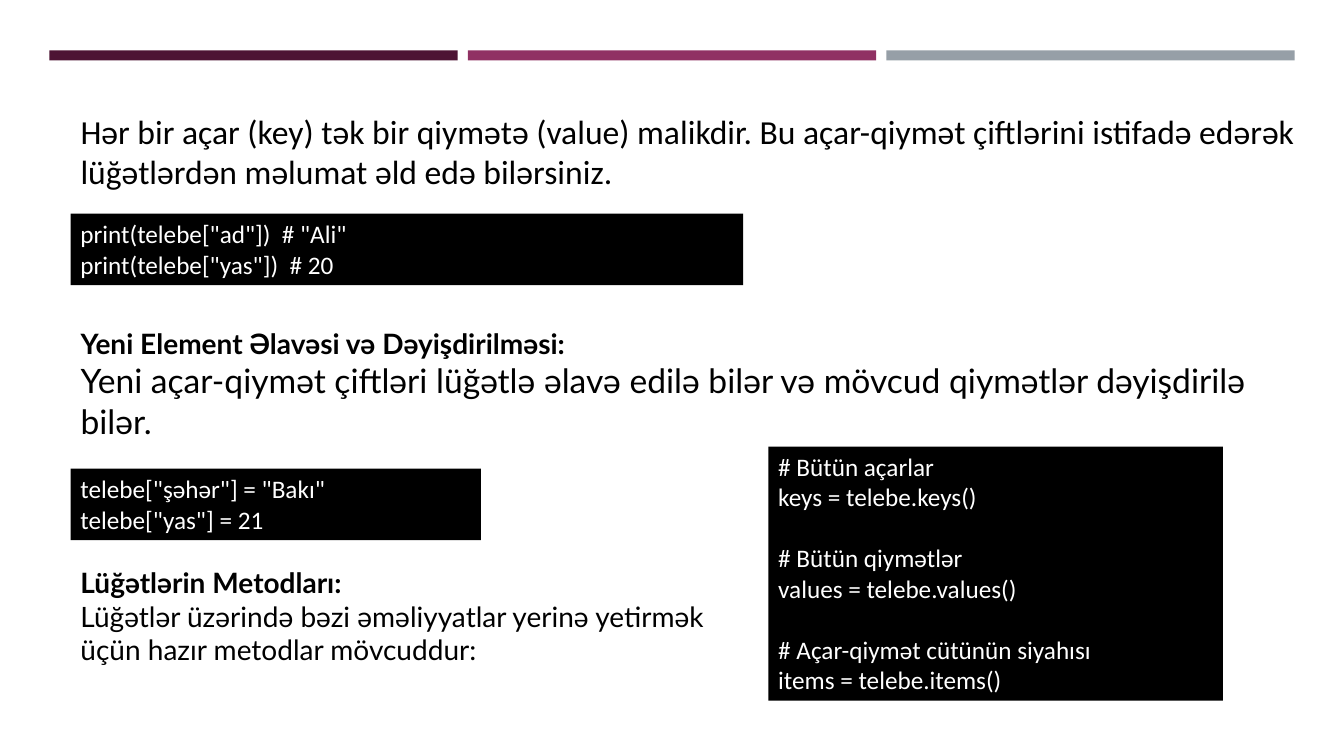
from dataclasses import dataclass

from pptx import Presentation
from pptx import util as u
from pptx.dml.color import RGBColor
from pptx.enum import shapes, text


@dataclass(frozen=True)
class Theme:
    black: str = "000000"
    white: str = "FFFFFF"
    bars: tuple[str, ...] = ("4D1434", "903163", "969FA7")
    code_font: str = "Calibri"
    body_font: str = "Lato"
    code_pt: int = 18
    heading_pt: int = 20
    body_pt: int = 24
    code_gap_pt: int = 22


@dataclass(frozen=True)
class Line:
    text: str
    size: int
    font: str
    bold: bool = False
    before: int = 0


@dataclass(frozen=True)
class Block:
    left: float
    top: float
    width: float
    height: float
    lines: list[Line]
    is_code: bool = False


THEME = Theme()
LEFT = 0.7


def code(*groups: str) -> list[Line]:
    """Turn groups of code lines into lines, with a gap before each later group."""
    return [
        Line(row, THEME.code_pt, THEME.code_font,
             before=THEME.code_gap_pt if g and not i else 0)
        for g, group in enumerate(groups)
        for i, row in enumerate(group.splitlines())
    ]


def section(heading: str, body: str, body_pt: int) -> list[Line]:
    return [Line(heading, THEME.heading_pt, THEME.body_font, bold=True),
            Line(body, body_pt, THEME.body_font)]


BLOCKS = [
    Block(LEFT, 1.05, 12.42, 0.91, [Line(
        "Hər bir açar (key) tək bir qiymətə (value) malikdir. Bu açar-qiymət "
        "çiftlərini istifadə edərək lüğətlərdən məlumat əld edə bilərsiniz.",
        THEME.body_pt, THEME.code_font)]),
    Block(LEFT, 2.12, 6.67, 0.71, code(
        'print(telebe["ad"])  # "Ali"\nprint(telebe["yas"])  # 20'), True),
    Block(LEFT, 3.19, 12.18, 1.25, section(
        "Yeni Element Əlavəsi və Dəyişdirilməsi:",
        "Yeni açar-qiymət çiftləri lüğətlə əlavə edilə bilər və mövcud "
        "qiymətlər dəyişdirilə bilər.", THEME.body_pt)),
    Block(LEFT, 4.65, 4.07, 0.71, code(
        'telebe["şəhər"] = "Bakı"\ntelebe["yas"] = 21'), True),
    Block(LEFT, 5.56, 6.67, 1.11, section(
        "Lüğətlərin Metodları:",
        "Lüğətlər üzərində bəzi əməliyyatlar yerinə yetirmək üçün hazır "
        "metodlar mövcuddur:", THEME.heading_pt)),
    Block(7.62, 4.43, 4.51, 2.52, code(
        "# Bütün açarlar\nkeys = telebe.keys()",
        "# Bütün qiymətlər\nvalues = telebe.values()",
        "# Açar-qiymət cütünün siyahısı\nitems = telebe.items()"), True),
]


def add_rect(s, left: float, top: float, width: float, height: float, color: str):
    sp = s.shapes.add_shape(shapes.MSO_SHAPE.RECTANGLE, u.Inches(left), u.Inches(top),
                            u.Inches(width), u.Inches(height))
    sp.shadow.inherit = False
    sp.fill.solid()
    sp.fill.fore_color.rgb = RGBColor.from_string(color)
    sp.line.fill.background()
    return sp


def add_bars(s) -> None:
    width, gap = 4.05, 0.1
    for i, color in enumerate(THEME.bars):
        add_rect(s, 0.49 + i * (width + gap), 0.5, width, 0.1, color)


def add_block(s, block: Block) -> None:
    box = (block.left, block.top, block.width, block.height)
    if block.is_code:
        sp = add_rect(s, *box, THEME.black)
    else:
        sp = s.shapes.add_textbox(*map(u.Inches, box))
    tf = sp.text_frame
    tf.word_wrap = True
    tf.vertical_anchor = text.MSO_ANCHOR.TOP
    color = RGBColor.from_string(THEME.white if block.is_code else THEME.black)
    for i, line in enumerate(block.lines):
        p = tf.add_paragraph() if i else tf.paragraphs[0]
        p.text = line.text
        p.alignment = text.PP_ALIGN.LEFT
        p.space_before = u.Pt(line.before)
        p.font.name = line.font
        p.font.size = u.Pt(line.size)
        p.font.bold = line.bold
        p.font.color.rgb = color


def main() -> None:
    prs = Presentation()
    prs.slide_width, prs.slide_height = u.Inches(13.33), u.Inches(7.5)
    s = prs.slides.add_slide(prs.slide_layouts[6])
    add_bars(s)
    for block in BLOCKS:
        add_block(s, block)
    prs.save("out.pptx")


if __name__ == "__main__":
    main()
